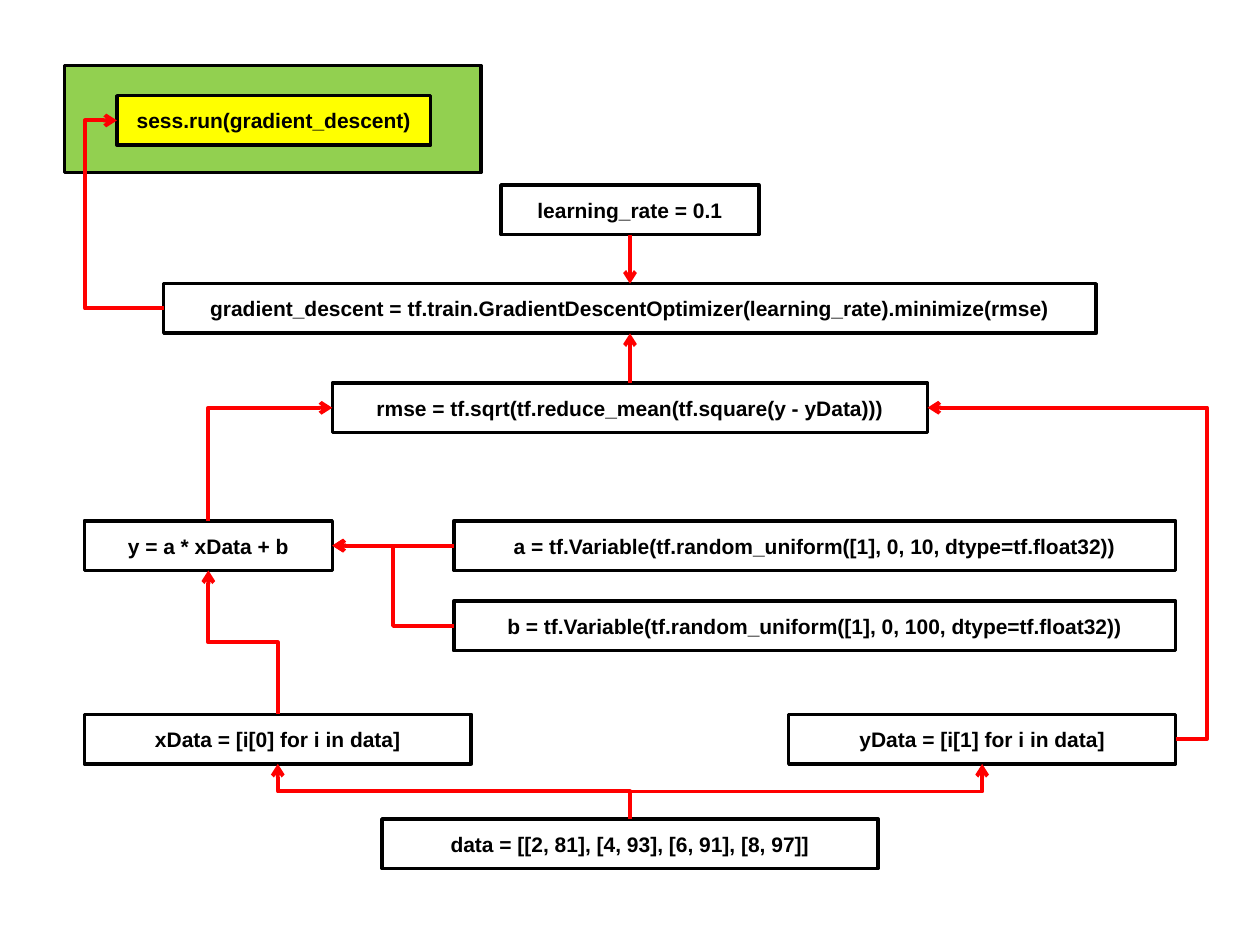
from lxml.etree import SubElement
from pptx import Presentation
from pptx.dml.color import RGBColor
from pptx.enum.shapes import MSO_CONNECTOR, MSO_SHAPE
from pptx.enum.text import MSO_ANCHOR, PP_ALIGN
from pptx.oxml.ns import qn
from pptx.util import Cm, Pt

BLACK = RGBColor(0x00, 0x00, 0x00)
RED = RGBColor(0xFF, 0x00, 0x00)
GREEN = RGBColor(0x92, 0xD0, 0x50)
YELLOW = RGBColor(0xFF, 0xFF, 0x00)

TOP, LEFT, BOTTOM, RIGHT = range(4)
BOX_HEIGHT = 1.0

STATEMENTS = {
    "descent": ("gradient_descent = tf.train.GradientDescentOptimizer(learning_rate).minimize(rmse)",
                3.3, 5.72, 18.8),
    "rate": ("learning_rate = 0.1", 10.1, 3.73, 5.2),
    "rmse": ("rmse = tf.sqrt(tf.reduce_mean(tf.square(y - yData)))", 6.7, 7.72, 12),
    "data": ("data = [[2, 81], [4, 93], [6, 91], [8, 97]]", 7.7, 16.51, 10),
    "x_data": ("xData = [i[0] for i in data]", 1.7, 14.4, 7.8),
    "y_data": ("yData = [i[1] for i in data]", 15.9, 14.4, 7.8),
    "y": ("y = a * xData + b", 1.7, 10.5, 5),
    "a": ("a = tf.Variable(tf.random_uniform([1], 0, 10, dtype=tf.float32))", 9.15, 10.5, 14.55),
    "b": ("b = tf.Variable(tf.random_uniform([1], 0, 100, dtype=tf.float32))", 9.15, 12.12, 14.55),
}

STRAIGHT_FLOWS = [
    ("rate", BOTTOM, "descent", TOP),
    ("rmse", TOP, "descent", BOTTOM),
    ("a", LEFT, "y", RIGHT),
]

BENT_FLOWS = [
    ("data", TOP, "x_data", BOTTOM, 50000),
    ("data", TOP, "y_data", BOTTOM, 50000),
    ("y_data", RIGHT, "rmse", RIGHT, -12700),
    ("x_data", TOP, "y", BOTTOM, 50000),
    ("b", LEFT, "y", RIGHT, 50000),
    ("y", TOP, "rmse", LEFT, None),
    ("descent", LEFT, "session", LEFT, 168600),
]


def write(box, text, size=12, color=BLACK, bold=True, font="Arial"):
    frame = box.text_frame
    frame.word_wrap = True
    frame.vertical_anchor = MSO_ANCHOR.MIDDLE
    paragraph = frame.paragraphs[0]
    paragraph.alignment = PP_ALIGN.CENTER
    run = paragraph.add_run()
    run.text = text
    run.font.size = Pt(size)
    run.font.bold = bold
    run.font.name = font
    run.font.color.rgb = color


def add_box(slide, left, top, width, height=BOX_HEIGHT, fill=None):
    box = slide.shapes.add_shape(MSO_SHAPE.RECTANGLE, Cm(left), Cm(top), Cm(width), Cm(height))
    box.shadow.inherit = False
    if fill is None:
        box.fill.background()
    else:
        box.fill.solid()
        box.fill.fore_color.rgb = fill
    box.line.color.rgb = BLACK
    box.line.width = Pt(2)
    return box


def add_statement(slide, text, left, top, width, fill=None):
    box = add_box(slide, left, top, width, fill=fill)
    write(box, text)
    return box


def add_arrow(slide, kind, source, source_side, target, target_side):
    arrow = slide.shapes.add_connector(kind, 0, 0, 0, 0)
    arrow.begin_connect(source, source_side)
    arrow.end_connect(target, target_side)
    arrow.line.color.rgb = RED
    arrow.line.width = Pt(2.25)
    SubElement(arrow.line._get_or_add_ln(), qn("a:tailEnd"), type="arrow")
    SubElement(arrow._element.spPr, qn("a:effectLst"))
    return arrow


def turn_upward(arrow):
    across, rise = arrow.width, arrow.height
    center_x = arrow.left + across // 2
    center_y = arrow.top + rise // 2
    leftward = arrow.end_x < arrow.begin_x
    arrow.left, arrow.top = center_x - rise // 2, center_y - across // 2
    arrow.width, arrow.height = rise, across
    arrow.rotation = 270
    frame = arrow._element.spPr.find(qn("a:xfrm"))
    frame.set("flipH", "0")
    frame.set("flipV", "1" if leftward else "0")


def add_bent_arrow(slide, source, source_side, target, target_side, bend):
    arrow = add_arrow(slide, MSO_CONNECTOR.ELBOW, source, source_side, target, target_side)
    if source_side == TOP:
        turn_upward(arrow)
    geometry = arrow._element.spPr.find(qn("a:prstGeom"))
    if bend is None:
        geometry.set("prst", "bentConnector2")
    else:
        SubElement(geometry.find(qn("a:avLst")), qn("a:gd"), name="adj1", fmla=f"val {bend}")


def main():
    presentation = Presentation()
    presentation.slide_width, presentation.slide_height = Cm(25.4), Cm(19.05)
    slide = presentation.slides.add_slide(presentation.slide_layouts[6])

    add_box(slide, 1.3, 1.32, 8.4, height=2.16, fill=GREEN)
    boxes = {key: add_statement(slide, *statement) for key, statement in STATEMENTS.items()}
    boxes["session"] = add_statement(slide, "sess.run(gradient_descent)", 2.36, 1.93, 6.32, fill=YELLOW)

    for source, source_side, target, target_side in STRAIGHT_FLOWS:
        add_arrow(slide, MSO_CONNECTOR.STRAIGHT, boxes[source], source_side, boxes[target], target_side)
    for source, source_side, target, target_side, bend in BENT_FLOWS:
        add_bent_arrow(slide, boxes[source], source_side, boxes[target], target_side, bend)

    presentation.save("out.pptx")


main()
